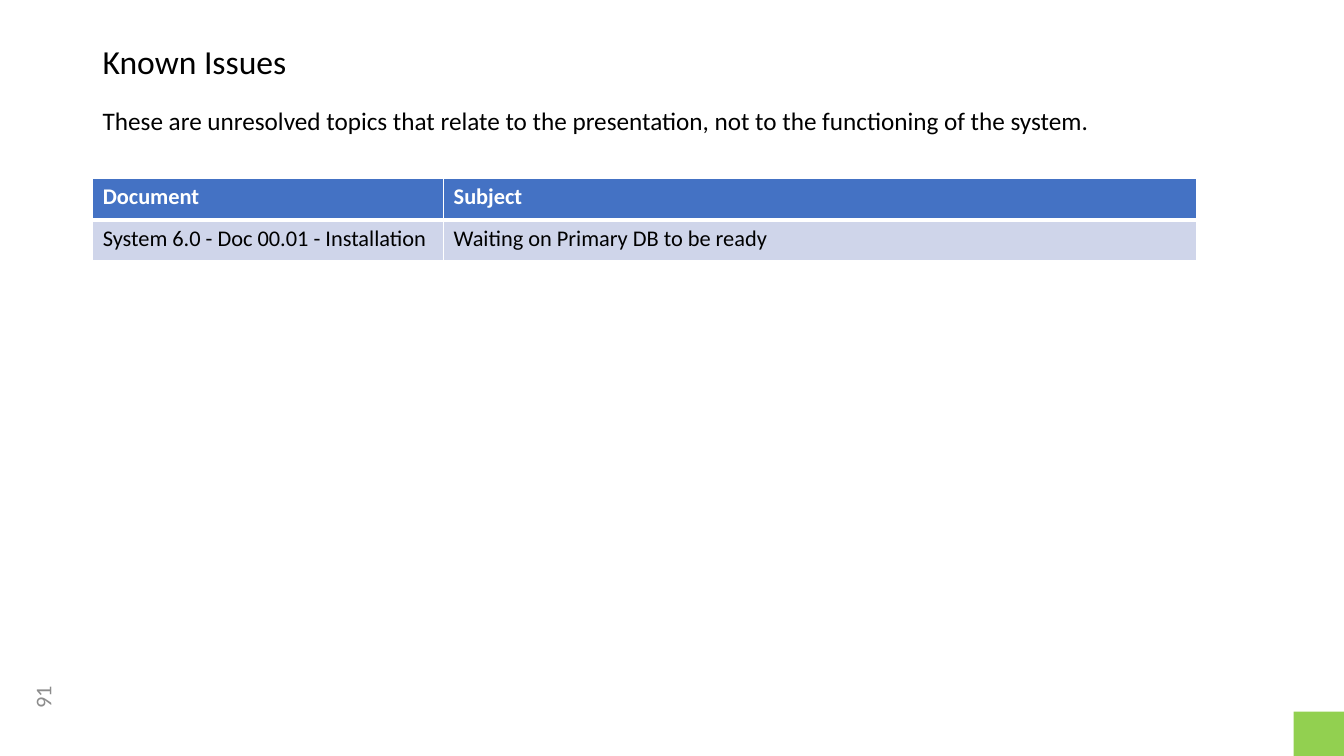
from dataclasses import dataclass

from lxml import etree
from pptx import Presentation
from pptx.dml.color import RGBColor
from pptx.enum.shapes import MSO_SHAPE
from pptx.enum.text import MSO_ANCHOR, PP_ALIGN
from pptx.oxml.ns import qn
from pptx.util import Inches, Pt

FONT = "Calibri"
COLORS = {
    "black": "000000",
    "white": "FFFFFF",
    "page_number": "8C8C8C",
    "corner": "92D050",
    "header": "4472C4",
    "row": "CFD5EA",
}
COLUMN_WIDTHS = (3.48, 7.47)
ROW_HEIGHT = 0.41
ISSUES = (
    ("Document", "Subject"),
    ("System 6.0 - Doc 00.01 - Installation", "Waiting on Primary DB to be ready"),
)


@dataclass(frozen=True)
class Label:
    """A line of text in its own box, in inches and points."""
    text: str
    left: float
    top: float
    width: float
    height: float
    size: int
    color: str = "black"
    align: PP_ALIGN = PP_ALIGN.LEFT
    anchor: MSO_ANCHOR = MSO_ANCHOR.TOP
    rotation: int = 0
    line_spacing: float = 1.0


LABELS = (
    Label("Known Issues", 0.92, 0.4, 11.5, 0.51, 24, line_spacing=0.9),
    Label("These are unresolved topics that relate to the presentation, "
          "not to the functioning of the system.", 0.92, 1, 12.1, 0.4, 18),
    Label("91", -0.04, 6.72, 0.92, 0.4, 16, "page_number",
          PP_ALIGN.CENTER, MSO_ANCHOR.MIDDLE, 270),
)


def rgb(name: str) -> RGBColor:
    """Look up a named colour."""
    return RGBColor.from_string(COLORS[name])


def write(frame, text: str, size: int, color: str, bold: bool = False) -> None:
    """Put one formatted run into a text frame."""
    run = frame.paragraphs[0].add_run()
    run.text = text
    run.font.name = FONT
    run.font.size = Pt(size)
    run.font.bold = bold
    run.font.color.rgb = rgb(color)


def add_label(slide, label: Label) -> None:
    """Draw a label as a text box."""
    box = slide.shapes.add_textbox(Inches(label.left), Inches(label.top),
                                   Inches(label.width), Inches(label.height))
    box.rotation = label.rotation
    frame = box.text_frame
    frame.word_wrap = True
    frame.vertical_anchor = label.anchor
    paragraph = frame.paragraphs[0]
    paragraph.alignment = label.align
    paragraph.line_spacing = label.line_spacing
    write(frame, label.text, label.size, label.color)


def set_borders(cell, top: int, bottom: int) -> None:
    """Give a cell white borders, with 1 pt sides."""
    properties = cell._tc.get_or_add_tcPr()
    widths = {"a:lnL": 1, "a:lnR": 1, "a:lnT": top, "a:lnB": bottom}
    for index, (tag, width) in enumerate(widths.items()):
        line = etree.Element(qn(tag), w=str(Pt(width)))
        fill = etree.SubElement(line, qn("a:solidFill"))
        etree.SubElement(fill, qn("a:srgbClr"), val=COLORS["white"])
        properties.insert(index, line)


def add_issue_table(slide) -> None:
    """Draw the table of known issues."""
    table = slide.shapes.add_table(
        len(ISSUES), len(COLUMN_WIDTHS), Inches(0.92), Inches(1.77),
        Inches(sum(COLUMN_WIDTHS)), Inches(ROW_HEIGHT * len(ISSUES))).table
    for column, width in zip(table.columns, COLUMN_WIDTHS):
        column.width = Inches(width)
    for row_index, (row, texts) in enumerate(zip(table.rows, ISSUES)):
        row.height = Inches(ROW_HEIGHT)
        header = row_index == 0
        for cell, text in zip(row.cells, texts):
            cell.fill.solid()
            cell.fill.fore_color.rgb = rgb("header" if header else "row")
            write(cell.text_frame, text, 16, "white" if header else "black", header)
            set_borders(cell, top=3 if row_index == 1 else 1, bottom=3 if header else 1)


def add_corner(slide) -> None:
    """Draw the green block in the bottom right corner."""
    corner = slide.shapes.add_shape(MSO_SHAPE.RECTANGLE, Inches(12.83), Inches(7.06),
                                    Inches(0.5), Inches(0.44))
    corner.shadow.inherit = False
    corner.fill.solid()
    corner.fill.fore_color.rgb = rgb("corner")
    corner.line.fill.background()


def main() -> None:
    """Build and save the slide."""
    deck = Presentation()
    deck.slide_width, deck.slide_height = Inches(13.33), Inches(7.5)
    slide = deck.slides.add_slide(deck.slide_layouts[6])
    for label in LABELS:
        add_label(slide, label)
    add_corner(slide)
    add_issue_table(slide)
    deck.save("out.pptx")


main()
